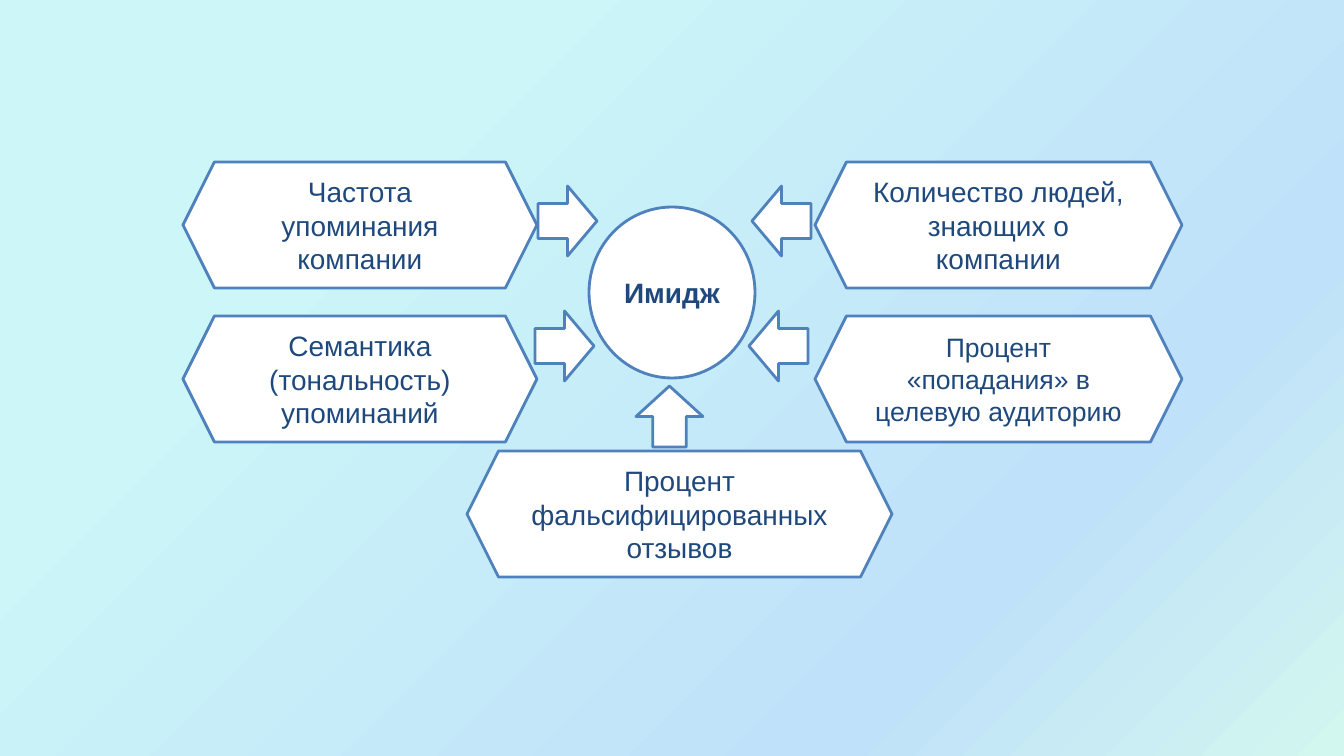
from copy import deepcopy

from pptx import Presentation
from pptx.dml.color import RGBColor
from pptx.enum.shapes import MSO_SHAPE
from pptx.enum.text import MSO_ANCHOR, PP_ALIGN
from pptx.oxml.ns import qn
from pptx.util import Pt

EMU_PER_PX = 9071.43  # 100.8 px to the inch
WHITE = RGBColor(0xFF, 0xFF, 0xFF)
BLUE = RGBColor(0x4F, 0x81, 0xBD)
NAVY = RGBColor(0x1F, 0x49, 0x7D)
AQUA = RGBColor(0xCC, 0xF6, 0xF8)
SKY = RGBColor(0xBF, 0xE1, 0xF9)
MINT = RGBColor(0xD2, 0xF7, 0xEF)


def px(length):
    return round(length * EMU_PER_PX)


def add_outlined(preset, *box):
    shape = slide.shapes.add_shape(preset, *map(px, box))
    shape.shadow.inherit = False
    shape.fill.solid()
    shape.fill.fore_color.rgb = WHITE
    shape.line.color.rgb = BLUE
    shape.line.width = Pt(2)
    return shape


prs = Presentation()
prs.slide_width, prs.slide_height = px(1344), px(756)
slide = prs.slides.add_slide(prs.slide_layouts[6])

# Background: diagonal pastel gradient
backdrop = slide.background.fill
backdrop.gradient()
backdrop.gradient_angle = 315
stop_list = slide.element.find(".//" + qn("a:gsLst"))
stop_list.append(deepcopy(stop_list[-1]))
for stop, (position, color) in zip(
        backdrop.gradient_stops, [(0.25, AQUA), (0.75, SKY), (1, MINT)]):
    stop.position = position
    stop.color.rgb = color

# Image in the centre and the factors around it
LEFT, RIGHT = (183, 354), (815, 367)  # column: left, width
TOP_ROW, LOWER_ROW, BOTTOM_ROW = 162, 316, 451
FACTOR_HEIGHT = 126
factors = [
    ("Процент фальсифицированных отзывов", (467, 425), BOTTOM_ROW, 20),
    ("Количество людей, знающих о компании", RIGHT, TOP_ROW, 20),
    ("Процент «попадания» в целевую аудиторию", RIGHT, LOWER_ROW, 19),
    ("Частота упоминания компании", LEFT, TOP_ROW, 20),
    ("Семантика (тональность) упоминаний", LEFT, LOWER_ROW, 20),
]
labelled = [("Имидж", MSO_SHAPE.OVAL, (589, 207, 166, 171), 20, True)]
for label, (left, width), top, size in factors:
    box = (left, top, width, FACTOR_HEIGHT)
    labelled.append((label, MSO_SHAPE.HEXAGON, box, size, False))

for label, preset, box, size, bold in labelled:
    frame = add_outlined(preset, *box).text_frame
    frame.word_wrap = True
    frame.vertical_anchor = MSO_ANCHOR.MIDDLE
    paragraph = frame.paragraphs[0]
    paragraph.text = label
    paragraph.alignment = PP_ALIGN.CENTER
    paragraph.font.color.rgb = NAVY
    text_format = {"name": "Arial", "size": Pt(size), "bold": bold}
    for attribute, value in text_format.items():
        setattr(paragraph.font, attribute, value)

# Arrows pointing at the centre; the lower pair sits 3 px further left
for left, rotation in [(538, 0), (752, 180)]:
    for shift, top in [(0, 186), (3, 311)]:
        arrow = add_outlined(MSO_SHAPE.RIGHT_ARROW, left - shift, top, 59, 70)
        arrow.rotation = rotation
up_arrow = add_outlined(MSO_SHAPE.RIGHT_ARROW, 639, 383, 61, 67)
up_arrow.rotation = 270

prs.save("out.pptx")
